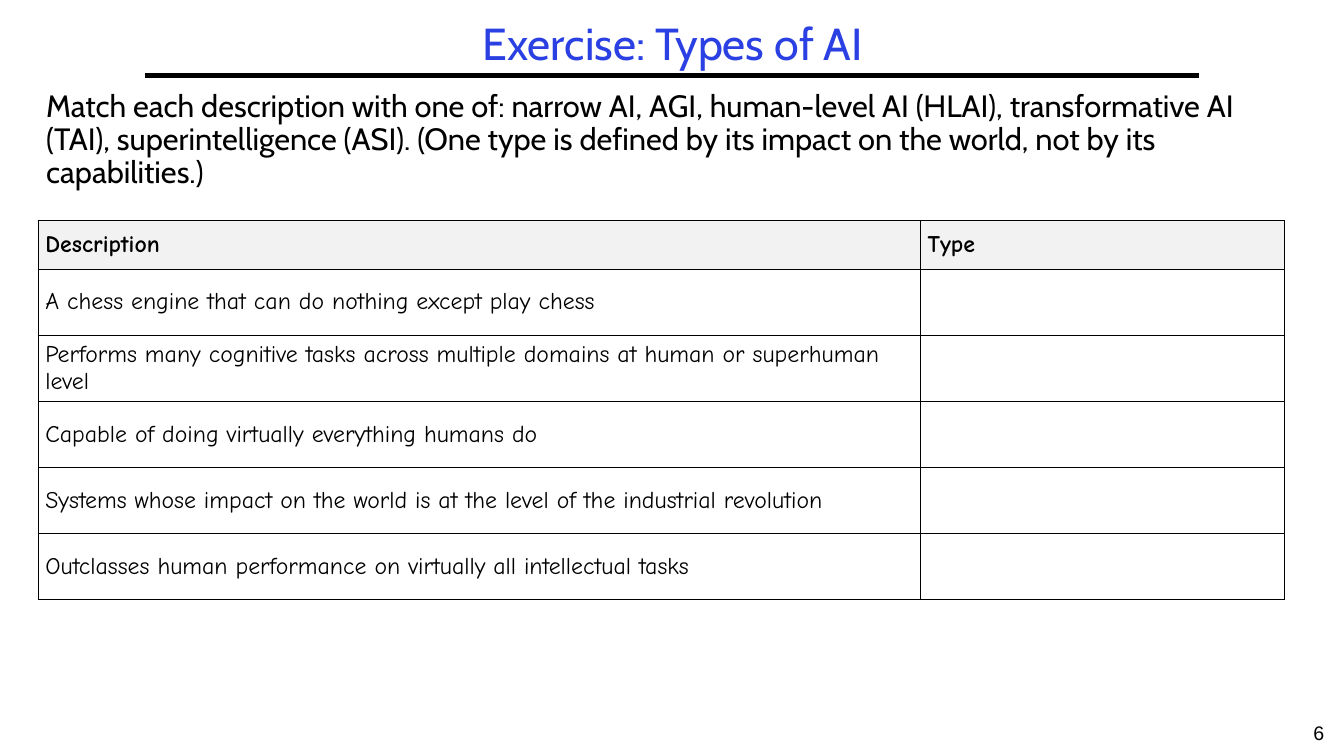
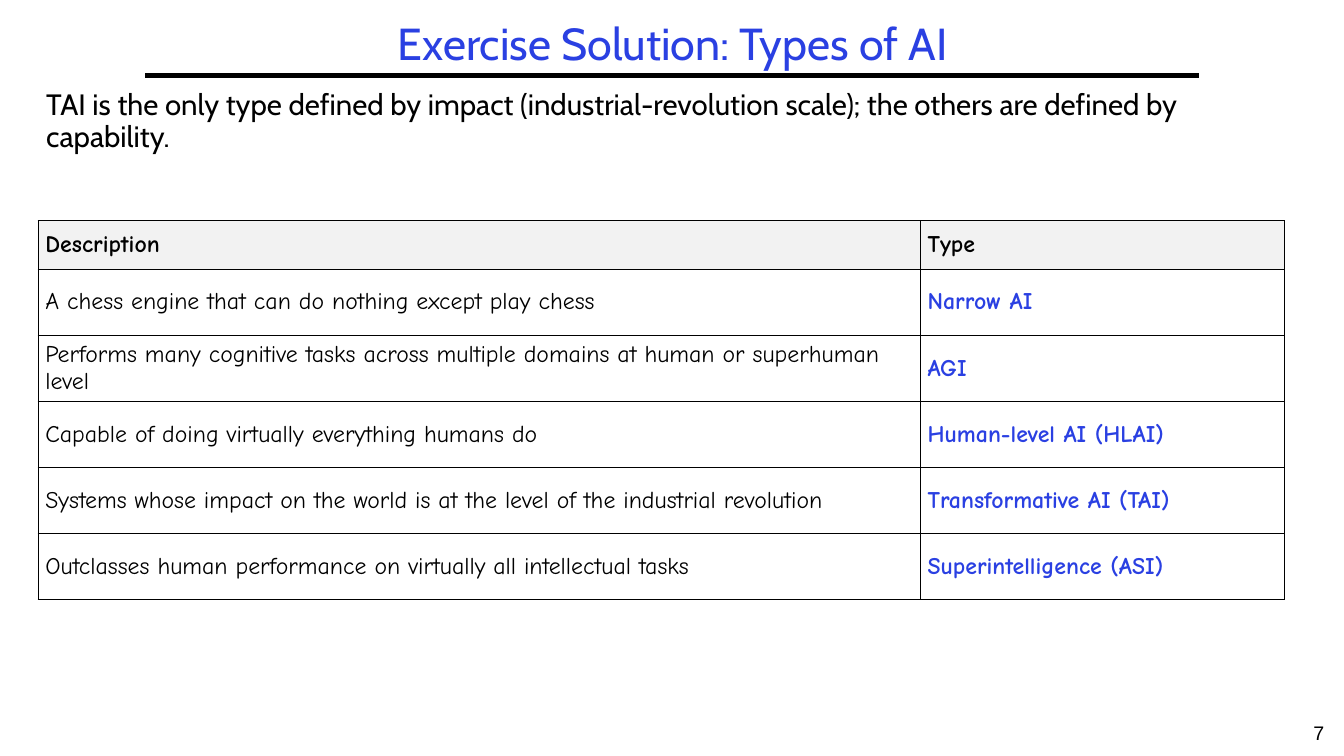
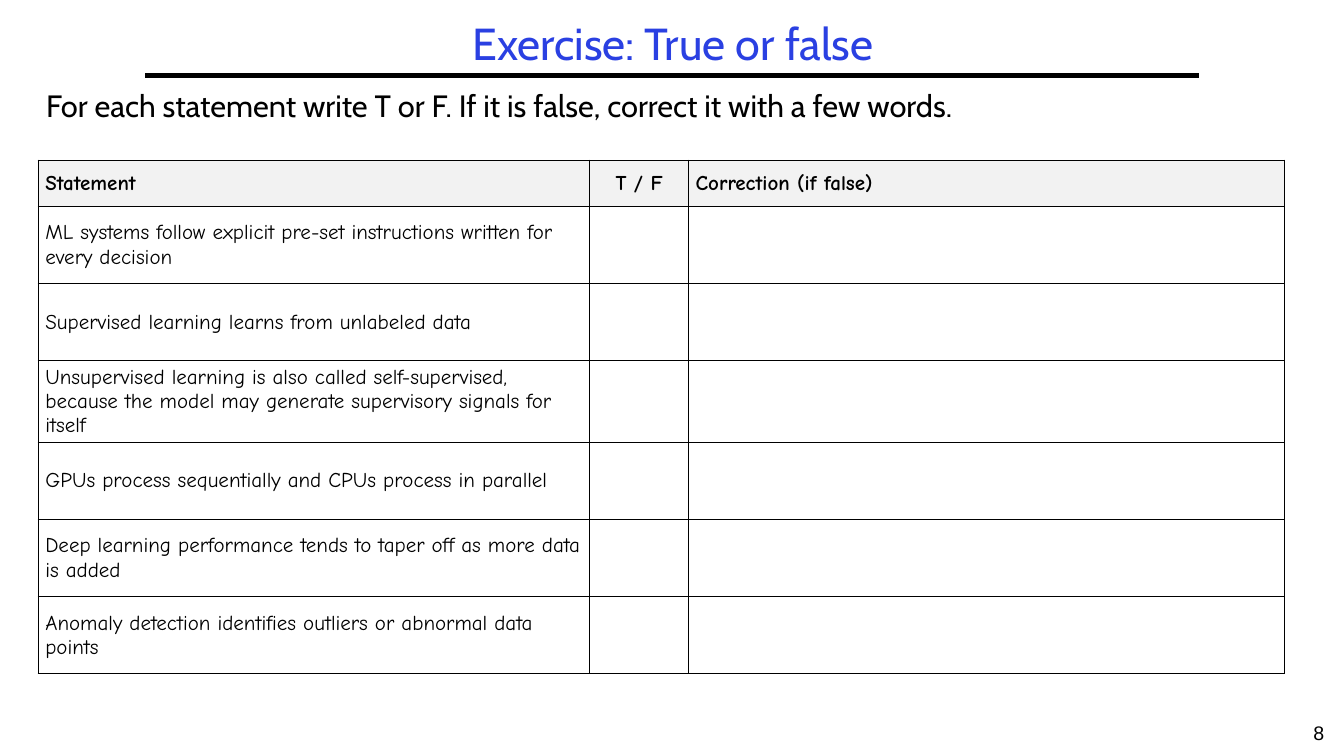
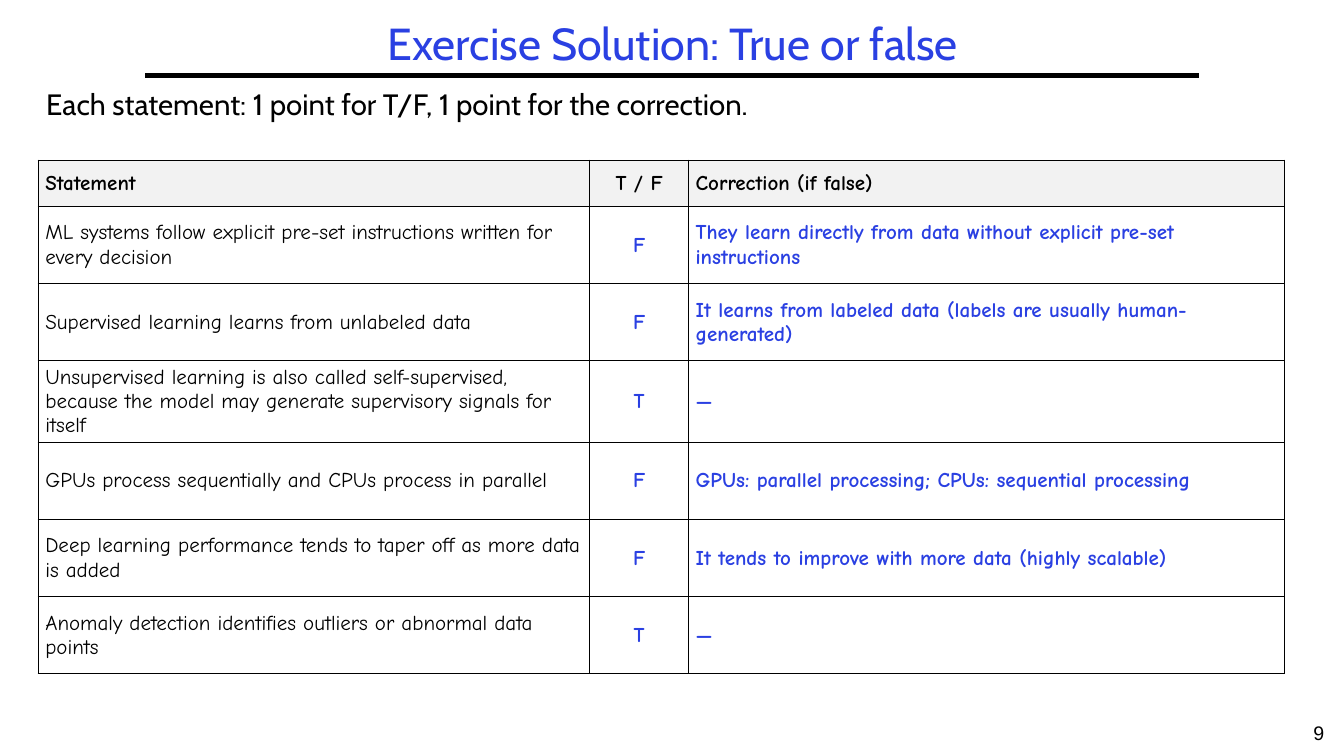
from lxml import etree
from pptx import Presentation
from pptx.dml.color import RGBColor
from pptx.enum import shapes, text
from pptx.oxml import ns
from pptx.util import Inches, Pt

BLUE = RGBColor(0x2A, 0x40, 0xE2)
BLACK = RGBColor(0, 0, 0)
GREY = RGBColor(0xF2, 0xF2, 0xF2)
LEFT = text.PP_ALIGN.LEFT
CENTER = text.PP_ALIGN.CENTER
TOP = text.MSO_ANCHOR.TOP
MIDDLE = text.MSO_ANCHOR.MIDDLE

TYPES = {
    "head": ["Description", "Type"],
    "rows": [
        ["A chess engine that can do nothing except play chess", "Narrow AI"],
        ["Performs many cognitive tasks across multiple domains at human or superhuman level", "AGI"],
        ["Capable of doing virtually everything humans do", "Human-level AI (HLAI)"],
        ["Systems whose impact on the world is at the level of the industrial revolution",
         "Transformative AI (TAI)"],
        ["Outclasses human performance on virtually all intellectual tasks", "Superintelligence (ASI)"],
    ],
    "cols": [8.75, 3.61], "aligns": [LEFT, LEFT],
    "top": 2.19, "high": 3.76, "first": 0.48, "size": 17,
}
FACTS = {
    "head": ["Statement", "T / F", "Correction (if false)"],
    "rows": [
        ["ML systems follow explicit pre-set instructions written for every decision", "F",
         "They learn directly from data without explicit pre-set instructions"],
        ["Supervised learning learns from unlabeled data", "F",
         "It learns from labeled data (labels are usually human-generated)"],
        ["Unsupervised learning is also called self-supervised, because the model may "
         "generate supervisory signals for itself", "T", "—"],
        ["GPUs process sequentially and CPUs process in parallel", "F",
         "GPUs: parallel processing; CPUs: sequential processing"],
        ["Deep learning performance tends to taper off as more data is added", "F",
         "It tends to improve with more data (highly scalable)"],
        ["Anomaly detection identifies outliers or abnormal data points", "T", "—"],
    ],
    "cols": [5.47, 0.98, 5.91], "aligns": [LEFT, CENTER, LEFT],
    "top": 1.59, "high": 5.05, "first": 0.46, "size": 15,
}
# title, lead text, lead size, table, answers shown
PAGES = [
    ("Exercise: Types of AI",
     "Match each description with one of: narrow AI, AGI, human-level AI (HLAI), transformative AI "
     "(TAI), superintelligence (ASI). (One type is defined by its impact on the world, not by its "
     "capabilities.)", 22, TYPES, False),
    ("Exercise Solution: Types of AI",
     "TAI is the only type defined by impact (industrial-revolution scale); the others are defined "
     "by capability.", 21, TYPES, True),
    ("Exercise: True or false",
     "For each statement write T or F. If it is false, correct it with a few words.",
     22, FACTS, False),
    ("Exercise Solution: True or false",
     "Each statement: 1 point for T/F, 1 point for the correction.", 21, FACTS, True),
]


def write(frame, words, size, font, color=BLACK, align=LEFT, bold=False, space=1.0):
    """Put one styled run into the first paragraph of a frame."""
    para = frame.paragraphs[0]
    para.alignment = align
    para.line_spacing = space
    run = para.add_run()
    run.text = words
    run.font.size = Pt(size)
    run.font.name = font
    run.font.bold = bold
    run.font.color.rgb = color


def border(cell):
    """Draw a thin black line on all four sides of a cell."""
    props = cell._tc.get_or_add_tcPr()
    for side in ("a:lnL", "a:lnR", "a:lnT", "a:lnB"):
        line = etree.SubElement(props, ns.qn(side), w=str(Pt(1)))
        fill = etree.SubElement(line, ns.qn("a:solidFill"))
        etree.SubElement(fill, ns.qn("a:srgbClr"), val=str(BLACK))


prs = Presentation()
prs.slide_width = Inches(13.33)
prs.slide_height = Inches(7.5)

for number, (title, lead, size, data, solved) in enumerate(PAGES, 6):
    slide = prs.slides.add_slide(prs.slide_layouts[6])

    rule = slide.shapes.add_connector(
        shapes.MSO_CONNECTOR.STRAIGHT, Inches(1.44), Inches(0.75), Inches(11.89), Inches(0.75))
    rule.line.color.rgb = BLACK
    rule.line.width = Pt(3)
    etree.SubElement(rule._element.spPr, ns.qn("a:effectLst"))

    lead_high = data["top"] - 0.86
    for box, anchor, words, pts, font, color, align, space in [
        ((1.44, 0.17, 10.47, 0.58), MIDDLE, title, 32, "Cabin", BLUE, CENTER, 0.9),
        ((0.36, 0.85, 12.58, lead_high), TOP, lead, size, "Cabin", BLACK, LEFT, 0.9),
        ((12.83, 7.1, 0.5, 0.4), TOP, str(number), 14, "Arial", BLACK, CENTER, 1.0),
    ]:
        frame = slide.shapes.add_textbox(*[Inches(v) for v in box]).text_frame
        frame.word_wrap = True
        frame.vertical_anchor = anchor
        write(frame, words, pts, font, color, align, space=space)

    rows = [data["head"]] + data["rows"]
    cols = data["cols"]
    grid = slide.shapes.add_table(
        len(rows), len(cols), Inches(0.38), Inches(data["top"]),
        Inches(sum(cols)), Inches(data["high"])).table
    for col, wide in zip(grid.columns, cols):
        col.width = Inches(wide)
    step = (data["high"] - data["first"]) / len(data["rows"])
    for r, row in enumerate(rows):
        head = r == 0
        grid.rows[r].height = Inches(data["first"] if head else step)
        for c, words in enumerate(row):
            cell = grid.cell(r, c)
            cell.vertical_anchor = MIDDLE
            cell.margin_left = cell.margin_right = Inches(0.07)
            cell.margin_top = cell.margin_bottom = Inches(0.03)
            border(cell)
            if head:
                cell.fill.solid()
                cell.fill.fore_color.rgb = GREY
            else:
                cell.fill.background()
            answer = c > 0 and not head
            if solved or not answer:
                write(cell.text_frame, words, data["size"], "Comic Neue",
                      BLUE if answer else BLACK, data["aligns"][c], head or answer)

prs.save("out.pptx")
